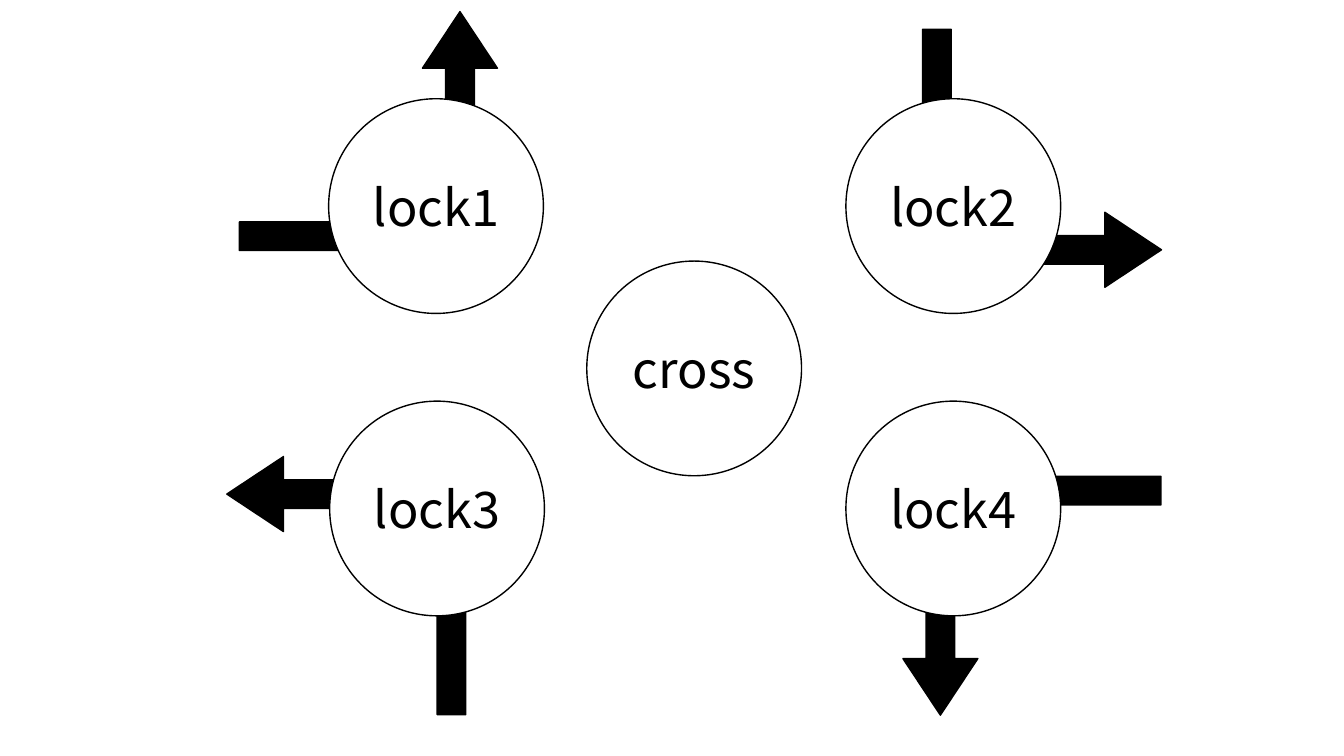
from dataclasses import dataclass

from pptx import Presentation
from pptx.dml.color import RGBColor
from pptx.enum.shapes import MSO_SHAPE
from pptx.enum.text import MSO_ANCHOR, PP_ALIGN
from pptx.util import Emu, Pt

PX = 9144  # EMU per px, 100 px to the inch


@dataclass(frozen=True)
class Theme:
    ink: RGBColor = RGBColor(0, 0, 0)
    paper: RGBColor = RGBColor(255, 255, 255)
    font: str = "Noto Sans CJK JP"
    label_size: int = 36
    line_width: int = 1


THEME = Theme()
DIAMETER = 213
ARROW_SIZE = (237, 256)
ARROW_ADJUSTMENTS = (0.12, 0.157, 0.237, 0.485)

# Name, circle corner, arrow offset from that corner, arrow rotation
LOCKS = (
    ("lock1", (326, 98), (-79, -96), 90),
    ("lock2", (839, 98), (76, -69), 180),
    ("lock3", (327, 398), (-102, 55), 0),
    ("lock4", (839, 398), (66, 65), 270),
)
CROSS = ("cross", (582, 259))


def px(length):
    return Emu(length * PX)


def add_outlined(page, kind, corner, size, fill):
    shape = page.shapes.add_shape(kind, *map(px, (*corner, *size)))
    shape.shadow.inherit = False
    shape.fill.solid()
    shape.fill.fore_color.rgb = fill
    shape.line.color.rgb = THEME.ink
    shape.line.width = Pt(THEME.line_width)
    return shape


def draw_turn(page, lock_corner, offset, rotation):
    """Bent arrow passing behind a lock, mirrored and then rotated."""
    corner = [start + shift for start, shift in zip(lock_corner, offset)]
    arrow = add_outlined(page, MSO_SHAPE.BENT_ARROW, corner, ARROW_SIZE, THEME.ink)
    for index, value in enumerate(ARROW_ADJUSTMENTS):
        arrow.adjustments[index] = value
    arrow.rotation = rotation
    arrow._element.spPr.xfrm.set("flipH", "1")


def draw_circle(page, name, corner):
    """Labelled circle with its top left corner at the given point."""
    circle = add_outlined(page, MSO_SHAPE.OVAL, corner, (DIAMETER, DIAMETER), THEME.paper)
    frame = circle.text_frame
    frame.word_wrap = False
    frame.vertical_anchor = MSO_ANCHOR.MIDDLE
    para = frame.paragraphs[0]
    para.text = name
    para.alignment = PP_ALIGN.CENTER
    para.font.name = THEME.font
    para.font.size = Pt(THEME.label_size)
    para.font.color.rgb = THEME.ink


def draw_crossing(page):
    # Arrows lie behind every circle
    for _, corner, offset, rotation in reversed(LOCKS):
        draw_turn(page, corner, offset, rotation)
    # Four locks, then the crossing in the middle
    for name, corner, *_ in (*LOCKS, CROSS):
        draw_circle(page, name, corner)


def main():
    deck = Presentation()
    deck.slide_width, deck.slide_height = px(1333), px(750)
    page = deck.slides.add_slide(deck.slide_layouts[6])
    draw_crossing(page)
    deck.save("out.pptx")


if __name__ == "__main__":
    main()
